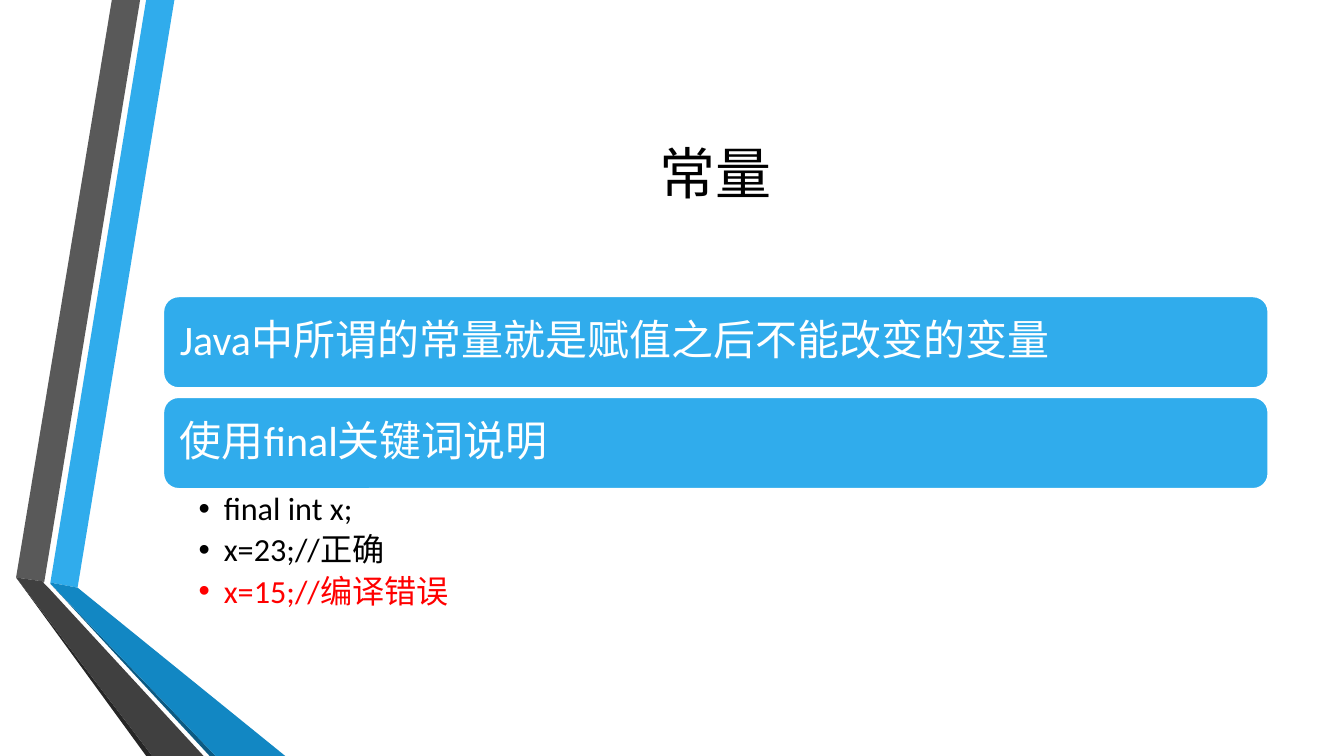
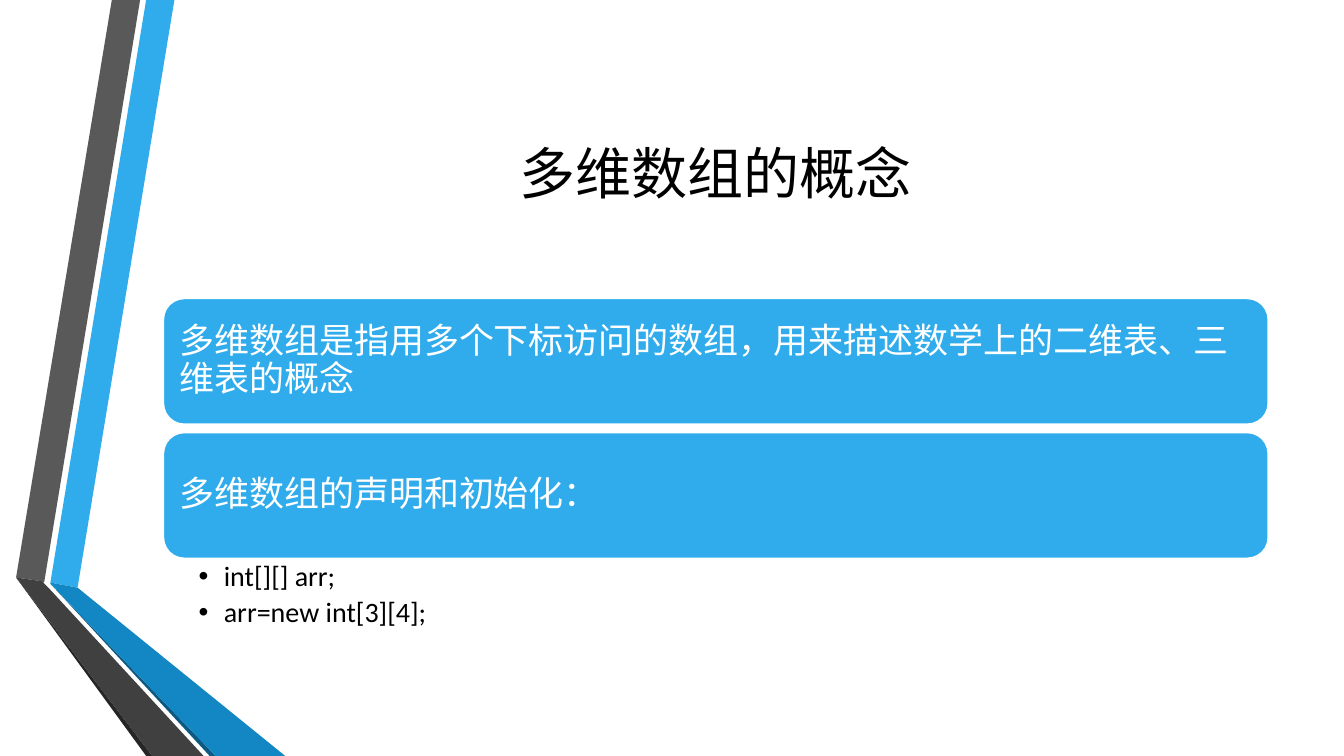
from lxml.etree import SubElement
from pptx import Presentation
from pptx.dml.color import RGBColor
from pptx.enum.shapes import MSO_SHAPE as Shape
from pptx.enum.text import MSO_ANCHOR as Anchor, PP_ALIGN as Align
from pptx.oxml.ns import qn
from pptx.util import Inches, Pt

FONT = "Calibri"
BLUE, WHITE, BLACK, RED = "30ACEC", "FFFFFF", "000000", "FF0000"
TITLE_BOX = (1.62, 0.75, 10.96, 1.92)
BODY_LEFT, BODY_WIDTH = 1.62, 10.96

# Folded ribbons on the left edge: colour and outline, back to front
RIBBONS = [
    (BLUE, [(0.5, 5.78), (0.77, 5.83), (1.73, 0), (1.45, 0)]),
    ("595959", [(1.39, 0), (1.11, 0), (0.16, 5.73), (0.44, 5.77)]),
    ("262626", [(0.16, 5.73), (1.45, 7.5), (1.51, 7.5)]),
    ("0C5A82", [(0.5, 5.79), (2.08, 7.5), (2.14, 7.5)]),
    ("1287C3", [(0.5, 5.79), (2.14, 7.5), (2.83, 7.5), (0.77, 5.83), (0.5, 5.78)]),
    ("404040", [(2.02, 7.5), (0.48, 5.83), (0.43, 5.78), (0.44, 5.77),
                (0.16, 5.73), (1.51, 7.5)]),
]


def rgb(value):
    return RGBColor.from_string(value)


def paint(shape, fill, line=None):
    shape.shadow.inherit = False
    shape.fill.solid()
    shape.fill.fore_color.rgb = rgb(fill)
    if line:
        shape.line.color.rgb = rgb(line)
        shape.line.width = Pt(1.25)
    else:
        shape.line.fill.background()


def add_bullet(paragraph):
    props = paragraph._p.get_or_add_pPr()
    props.set("marL", str(Inches(0.25)))
    props.set("indent", str(-Inches(0.25)))
    SubElement(props, qn("a:buFont"), typeface="Arial")
    SubElement(props, qn("a:buChar"), char="•")


def write(frame, lines, size, color=BLACK, align=Align.LEFT, anchor=Anchor.MIDDLE,
          insets=(0.1, 0.05, 0.1, 0.05), spacing=1.0, after=0, bullets=False):
    """Fill a frame with lines, each a text or a (text, colour) pair."""
    frame.word_wrap = True
    frame.vertical_anchor = anchor
    (frame.margin_left, frame.margin_top,
     frame.margin_right, frame.margin_bottom) = map(Inches, insets)
    for index, line in enumerate(lines):
        text, line_color = (line, color) if isinstance(line, str) else line
        paragraph = frame.paragraphs[0] if index == 0 else frame.add_paragraph()
        paragraph.alignment = align
        paragraph.line_spacing = spacing
        paragraph.space_before = Pt(0)
        paragraph.space_after = Pt(after)
        if bullets:
            add_bullet(paragraph)
        run = paragraph.add_run()
        run.text = text
        run.font.name = FONT
        run.font.size = Pt(size)
        run.font.color.rgb = rgb(line_color)


def add_text(slide, box, lines, **text_format):
    textbox = slide.shapes.add_textbox(*map(Inches, box))
    write(textbox.text_frame, lines, **text_format)


def draw_ribbons(slide):
    for color, outline in RIBBONS:
        start, *rest = [(Inches(x), Inches(y)) for x, y in outline]
        builder = slide.shapes.build_freeform(*start, scale=1.0)
        builder.add_line_segments(rest, close=True)
        paint(builder.convert_to_shape(), color)


def draw_bar(slide, box, text, size, inset):
    bar = slide.shapes.add_shape(Shape.ROUNDED_RECTANGLE, *map(Inches, box))
    paint(bar, BLUE, WHITE)
    write(bar.text_frame, [text], size=size, color=WHITE, insets=(inset,) * 4, spacing=0.9)


def draw_list(slide, top, bar_height, gap, bars, bar_size, inset,
              points, point_size, points_height):
    """Stack the bars from top, with the bullet points under the last one."""
    for index, text in enumerate(bars):
        bar_top = top + index * (bar_height + gap)
        draw_bar(slide, (BODY_LEFT, bar_top, BODY_WIDTH, bar_height), text, bar_size, inset)
    points_box = (BODY_LEFT, bar_top + bar_height, BODY_WIDTH, points_height)
    add_text(slide, points_box, points, size=point_size, anchor=Anchor.TOP,
             insets=(0.35, 0.04, 0.2, 0.04), spacing=0.9,
             after=0.2 * point_size, bullets=True)


def build_slide(deck, title, **content):
    slide = deck.slides.add_slide(deck.slide_layouts[6])
    draw_ribbons(slide)
    add_text(slide, TITLE_BOX, [title], size=40, align=Align.CENTER)
    draw_list(slide, **content)


def main():
    deck = Presentation()
    deck.slide_width, deck.slide_height = Inches(13.33), Inches(7.5)

    # Constants
    build_slide(
        deck, "常量", top=2.94, bar_height=0.91, gap=0.09, bar_size=30, inset=0.12,
        bars=["Java中所谓的常量就是赋值之后不能改变的变量", "使用final关键词说明"],
        points=["final int x;", "x=23;//正确", ("x=15;//编译错误", RED)],
        point_size=23, points_height=1.46)

    # Multidimensional arrays
    build_slide(
        deck, "多维数组的概念", top=2.96, bar_height=1.25, gap=0.08, bar_size=25, inset=0.1,
        bars=["多维数组是指用多个下标访问的数组，用来描述数学上的二维表、三维表的概念",
              "多维数组的声明和初始化："],
        points=["int[][] arr;", "arr=new int[3][4];"],
        point_size=20, points_height=0.75)

    deck.save("out.pptx")


if __name__ == "__main__":
    main()
